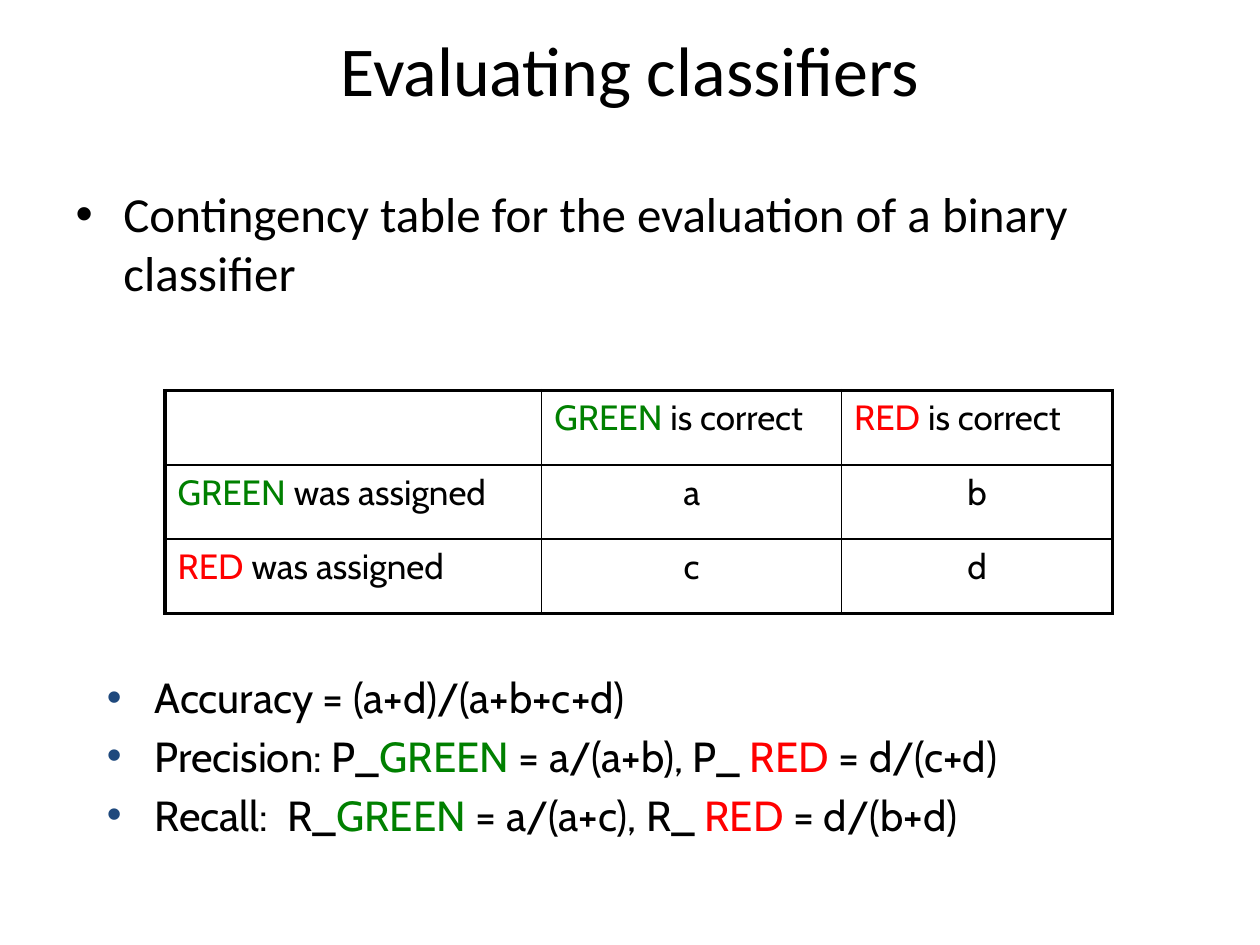
import lxml.etree as etree
import pptx
import pptx.dml.color
import pptx.enum.text
import pptx.oxml.ns
import pptx.util

Inches = pptx.util.Inches
Pt = pptx.util.Pt
RGBColor = pptx.dml.color.RGBColor
Align = pptx.enum.text.PP_ALIGN
Anchor = pptx.enum.text.MSO_ANCHOR
Fit = pptx.enum.text.MSO_AUTO_SIZE
qn = pptx.oxml.ns.qn

BLACK = RGBColor(0, 0, 0)
GREEN = RGBColor(0, 0x80, 0)
RED = RGBColor(0xFF, 0, 0)
NAVY = RGBColor(0x1F, 0x49, 0x7D)

THICK, THIN = 2.25, 1

CELLS = [
    [[], [("GREEN", GREEN), (" is correct", BLACK)],
     [("RED", RED), (" is correct", BLACK)]],
    [[("GREEN", GREEN), (" was assigned", BLACK)],
     [("a", BLACK)], [("b", BLACK)]],
    [[("RED", RED), (" was assigned", BLACK)],
     [("c", BLACK)], [("d", BLACK)]],
]

SCORES = [
    [("Accuracy = (a+d)/(a+b+c+d)", BLACK)],
    [("Precision: P_", BLACK), ("GREEN", GREEN), (" = a/(a+b), P_ ", BLACK),
     ("RED ", RED), ("= d/(c+d)", BLACK)],
    [("Recall:  R_", BLACK), ("GREEN", GREEN), (" = a/(a+c), R_ ", BLACK),
     ("RED ", RED), ("= d/(b+d)", BLACK)],
]


def add_runs(para, parts, size, font):
    for text, color in parts:
        run = para.add_run()
        run.text = text
        run.font.size = Pt(size)
        run.font.name = font
        run.font.color.rgb = color


def place(shape, left, top, width, height):
    shape.left, shape.top = Inches(left), Inches(top)
    shape.width, shape.height = Inches(width), Inches(height)


def add_mark(para, color):
    props = para._p.get_or_add_pPr()
    props.set("marL", str(Inches(0.38)))
    props.set("indent", str(Inches(-0.38)))
    tint = etree.SubElement(props, qn("a:buClr"))
    etree.SubElement(tint, qn("a:srgbClr"), val=str(color))
    etree.SubElement(props, qn("a:buFont"), typeface="Arial")
    etree.SubElement(props, qn("a:buChar"), char="•")


def fill_holder(shape, box, text, size):
    place(shape, *box)
    frame = shape.text_frame
    frame.auto_size = Fit.NONE
    para = frame.paragraphs[0]
    add_runs(para, [(text, BLACK)], size, "Calibri")
    return frame


def add_edges(cell, widths):
    props = cell._tc.get_or_add_tcPr()
    for side, width in zip("LRTB", widths):
        line = etree.SubElement(props, qn("a:ln" + side), w=str(Pt(width)))
        fill = etree.SubElement(line, qn("a:solidFill"))
        etree.SubElement(fill, qn("a:srgbClr"), val=str(BLACK))


def add_grid(slide):
    frame = slide.shapes.add_table(
        3, 3, Inches(1.31), Inches(3.1), Inches(7.52), Inches(1.76))
    table = frame.table
    table.first_row = table.horz_banding = False
    for col, width in zip(table.columns, (2.99, 2.38, 2.15)):
        col.width = Inches(width)
    for r, row in enumerate(CELLS):
        table.rows[r].height = Inches(0.59)
        for c, parts in enumerate(row):
            cell = table.cell(r, c)
            outer = (c == 0, c == 2, r == 0, r == 2)
            add_edges(cell, [THICK if edge else THIN for edge in outer])
            cell.fill.background()
            para = cell.text_frame.paragraphs[0]
            para.space_before = Pt(4)
            para.alignment = Align.CENTER if r and c else Align.LEFT
            add_runs(para, parts, 20, "Cabin")


def add_list(slide):
    box = slide.shapes.add_textbox(
        Inches(0.75), Inches(4.81), Inches(8.5), Inches(2.07))
    frame = box.text_frame
    frame.word_wrap = True
    frame.margin_top = Inches(0.52)
    for i, parts in enumerate(SCORES):
        para = frame.add_paragraph() if i else frame.paragraphs[0]
        para.space_before = Pt(4.8)
        add_mark(para, NAVY)
        add_runs(para, parts, 24, "Cabin")


def main():
    deck = pptx.Presentation()
    deck.slide_width, deck.slide_height = Inches(10), Inches(7.5)
    slide = deck.slides.add_slide(deck.slide_layouts[1])
    title = fill_holder(slide.shapes.title, (0, 0, 10, 1.08),
                        "Evaluating classifiers", 40)
    title.vertical_anchor = Anchor.MIDDLE
    title.paragraphs[0].alignment = Align.CENTER
    body = fill_holder(
        slide.placeholders[1], (0.5, 1.41, 8.5, 1.33),
        "Contingency table for the evaluation of a binary classifier", 28)
    body.paragraphs[0].space_before = Pt(5.6)
    add_mark(body.paragraphs[0], BLACK)
    add_grid(slide)
    add_list(slide)
    deck.save("out.pptx")


if __name__ == "__main__":
    main()
